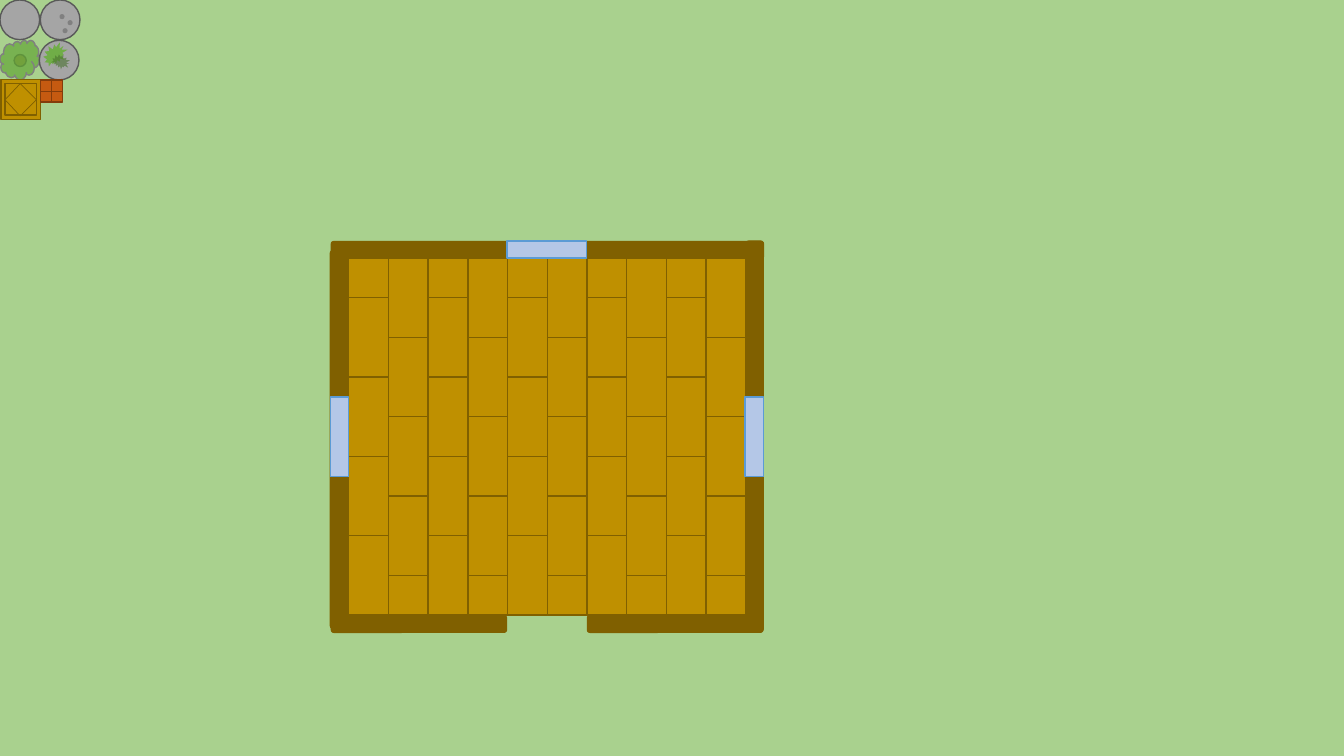
import pptx
import pptx.util
import pptx.dml.color
import pptx.enum.dml
import pptx.enum.shapes
import pptx.oxml
import pptx.oxml.ns

Inches = pptx.util.Inches
Form = pptx.enum.shapes.MSO_SHAPE
SPACE = pptx.oxml.ns.nsdecls("a")


def hue(code):
    return pptx.dml.color.RGBColor.from_string(code)


def draw(host, form, box, fill, edge=None, alpha=None, **traits):
    shape = host.shapes.add_shape(form, *[Inches(n) for n in box])
    shape.shadow.inherit = False
    shape.fill.solid()
    shape.fill.fore_color.rgb = hue(fill)
    if alpha:
        tint = shape.fill._xPr.find(".//" + pptx.oxml.ns.qn("a:srgbClr"))
        tint.append(pptx.oxml.parse_xml(f'<a:alpha {SPACE} val="{alpha * 1000}"/>'))
    if edge:
        shape.line.color.rgb = hue(edge)
        shape.line.width = pptx.util.Pt(1)
    else:
        shape.line.fill.background()
    for name, value in traits.items():
        setattr(shape, name, value)
    return shape


deck = pptx.Presentation()
for name, value in {"slide_width": 13.33, "slide_height": 7.5}.items():
    setattr(deck, name, Inches(value))
slide = deck.slides.add_slide(deck.slide_layouts[6])
slide.background.fill.solid()
slide.background.fill.fore_color.rgb = hue("A9D18E")

DARK, WOOD, GLASS, RIM = "806000", "BF9000", "B4C7E7", "5B9BD5"
STONE, GREY, EDGE = "A5A5A5", "808080", "595959"
UNIT = 1 / 2.54

tree = slide.shapes.add_group_shape()
draw(tree, Form.OVAL, (0.14, 0.54, 0.12, 0.12), DARK, "000000")
draw(tree, Form.CLOUD, (0, 0.4, UNIT, UNIT), "70AD47", GREY, 85)

house = slide.shapes.add_group_shape()
draw(house, Form.ROUNDED_RECTANGLE, (3.28, 2.39, 4.3, 0.18), DARK)

ROWS = 9
for col in range(10):
    row = 0
    while row < ROWS:
        short = row == 0 and col % 2 == 0
        span = 1 if short else min(2, ROWS - row)
        box = (3.46 + col * UNIT, 2.56 + row * UNIT, UNIT, span * UNIT)
        draw(house, Form.RECTANGLE, box, WOOD, DARK)
        row += span

walls = [
    ((1.48, 4.27, 3.76, 0.18), 90),
    ((5.54, 4.24, 3.89, 0.18), 90),
    ((3.28, 6.1, 1.75, 0.18), 0),
    ((5.82, 6.1, 1.75, 0.18), 0),
]
for box, turn in walls:
    draw(house, Form.ROUNDED_RECTANGLE, box, DARK, rotation=turn)

panes = [
    (7.39, 3.94, 0.18, 0.79),
    (3.28, 3.94, 0.18, 0.79),
    (5.03, 2.39, 0.79, 0.17),
]
for box in panes:
    draw(house, Form.RECTANGLE, box, GLASS, RIM)

crate = slide.shapes.add_group_shape()
for box in [(0.01, 0.79, UNIT, UNIT), (0.05, 0.83, 0.31, 0.31)]:
    draw(crate, Form.RECTANGLE, box, WOOD, DARK)
tips = [(0.2, 0.83), (0.36, 0.99), (0.2, 1.15), (0.05, 0.99)]
for start, end in zip(tips, tips[1:] + tips[:1]):
    ends = [Inches(n) for n in start + end]
    slat = crate.shapes.add_connector(pptx.enum.shapes.MSO_CONNECTOR.STRAIGHT, *ends)
    slat.line.color.rgb = hue(DARK)
    slat.line.width = pptx.util.Pt(0.5)
    slat._element.spPr.append(pptx.oxml.parse_xml(f"<a:effectLst {SPACE}/>"))

rock = slide.shapes.add_group_shape()
draw(rock, Form.OVAL, (0.4, 0, UNIT, UNIT), STONE, EDGE)
for left, top in [(0.62, 0.28), (0.67, 0.2), (0.59, 0.14)]:
    draw(rock, Form.OVAL, (left, top, 0.05, 0.05), GREY)

moss = slide.shapes.add_group_shape()
draw(moss, Form.OVAL, (0.39, 0.4, UNIT, UNIT), STONE, EDGE)
draw(moss, Form.EXPLOSION2, (0.43, 0.42, 0.24, 0.24), "70AD47")
draw(moss, Form.EXPLOSION2, (0.52, 0.53, 0.17, 0.17), "49712F", alpha=59, rotation=59.6)

draw(slide, Form.OVAL, (0, 0, UNIT, UNIT), STONE, EDGE)

brick = draw(slide, Form.ROUNDED_RECTANGLE, (0.4, 0.79, 0.22, 0.22), "C55A11", "843C0B")
brick.adjustments[0] = 0
brick.fill.patterned()
brick.fill.pattern = pptx.enum.dml.MSO_PATTERN.HORIZONTAL_BRICK
brick.fill.fore_color.rgb = hue("843C0B")
brick.fill.back_color.rgb = hue("C55A11")

deck.save("out.pptx")
